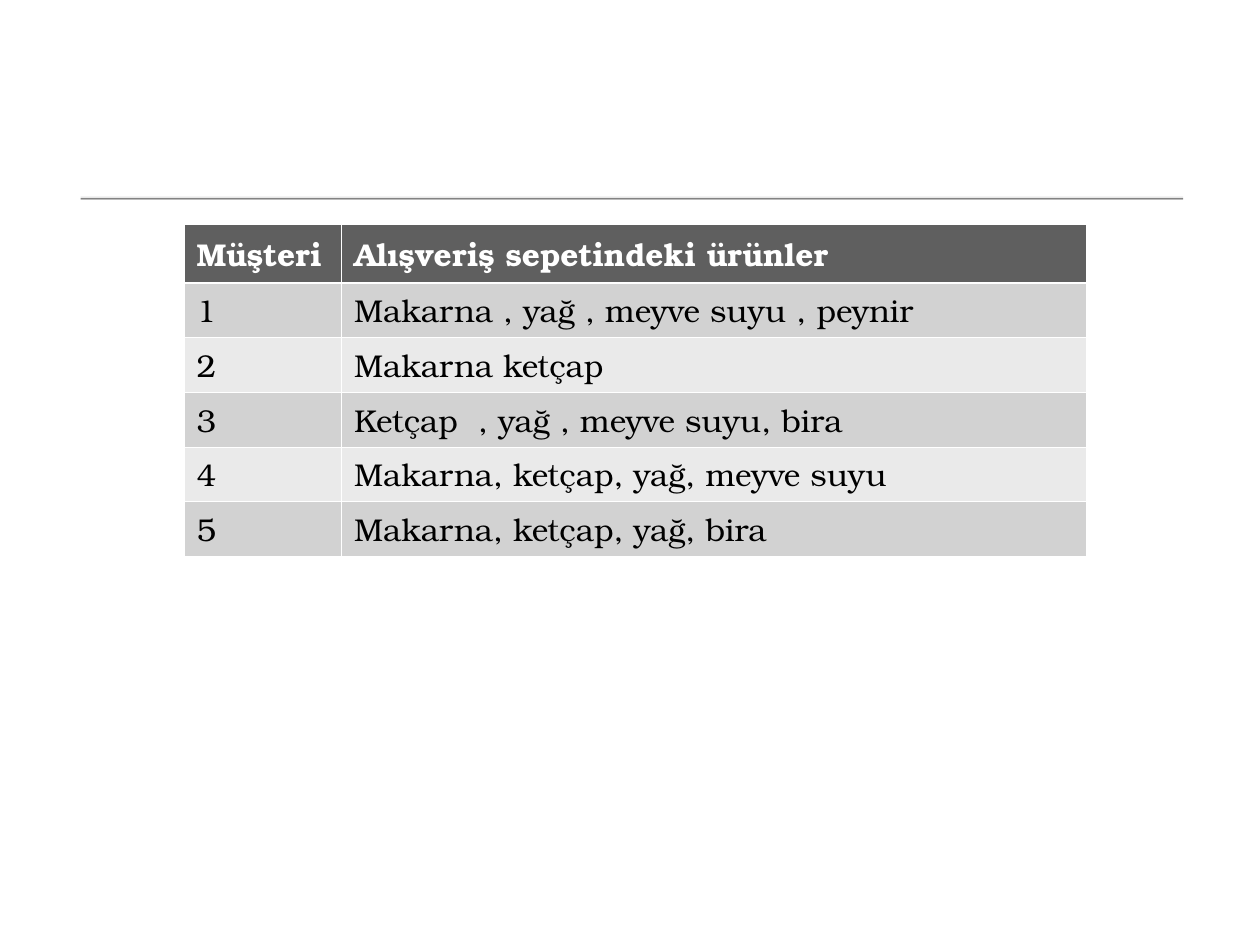
from typing import NamedTuple

from lxml import etree
from pptx import Presentation
from pptx.dml.color import RGBColor
from pptx.enum import shapes
from pptx.oxml import ns
from pptx.util import Inches, Pt

FONT = "TeX Gyre Bonum"


class Row(NamedTuple):
    buyer: str
    goods: str


HEAD = Row("Müşteri", "Alışveriş sepetindeki ürünler")
BASKETS = [
    Row("1", "Makarna , yağ , meyve suyu , peynir"),
    Row("2", "Makarna ketçap"),
    Row("3", "Ketçap  , yağ , meyve suyu, bira"),
    Row("4", "Makarna, ketçap, yağ, meyve suyu"),
    Row("5", "Makarna, ketçap, yağ, bira"),
]


def paint(fill, tone: str) -> None:
    fill.solid()
    fill.fore_color.rgb = RGBColor.from_string(tone)


def write(frame, words: str, tone: str = "000000", size: float = 18, bold: bool = False) -> None:
    run = frame.paragraphs[0].add_run()
    run.text = words
    font = run.font
    font.name, font.size, font.bold = FONT, Pt(size), bold
    font.color.rgb = RGBColor.from_string(tone)


def add_tone(node, tone: str):
    fill = etree.SubElement(node, ns.qn("a:solidFill"))
    etree.SubElement(fill, ns.qn("a:srgbClr"), val=tone)


def edge(cell, side: str, width: float, tone: str = "FFFFFF") -> None:
    line = etree.SubElement(cell._tc.get_or_add_tcPr(), ns.qn(f"a:ln{side}"), w=str(Pt(width)))
    add_tone(line, tone)


def draw_rule(slide) -> None:
    rule = slide.shapes.add_shape(
        shapes.MSO_SHAPE.RECTANGLE, Inches(0.64), Inches(1.56), Inches(8.75), Inches(0.01)
    )
    paint(rule.fill, "DDDDDD")
    rule.line.fill.background()
    rule.shadow.inherit = False
    effects = rule._element.spPr.find(ns.qn("a:effectLst"))
    shade = etree.SubElement(
        effects, ns.qn("a:outerShdw"), blurRad="0", dist=str(Pt(1)), dir="5400000", rotWithShape="0"
    )
    tint = etree.SubElement(shade, ns.qn("a:srgbClr"), val="000000")
    etree.SubElement(tint, ns.qn("a:alpha"), val="75000")


def draw_table(slide, rows: list[Row]) -> None:
    high = 0.41
    table = slide.shapes.add_table(
        len(rows), 2, Inches(1.46), Inches(1.78), Inches(7.16), Inches(high * len(rows))
    ).table
    for col, width in zip(table.columns, (1.25, 5.91)):
        col.width = Inches(width)
    for i, row in enumerate(rows):
        table.rows[i].height = Inches(high)
        head = i == 0
        back = "5F5F5F" if head else "D2D2D2" if i % 2 else "EAEAEA"
        for j, words in enumerate(row):
            cell = table.cell(i, j)
            for side in "LRTB":
                thick = (head and side == "B") or (i == 1 and side == "T")
                edge(cell, side, 1.47 if thick else 0.45)
            paint(cell.fill, back)
            write(cell.text_frame, words, tone="FFFFFF" if head else "000000", bold=head)


def main() -> None:
    deck = Presentation()
    deck.slide_width, deck.slide_height = Inches(10), Inches(7.5)
    slide = deck.slides.add_slide(deck.slide_layouts[6])
    paint(slide.background.fill, "FFFFFF")
    draw_rule(slide)
    draw_table(slide, [HEAD, *BASKETS])
    deck.save("out.pptx")


if __name__ == "__main__":
    main()
